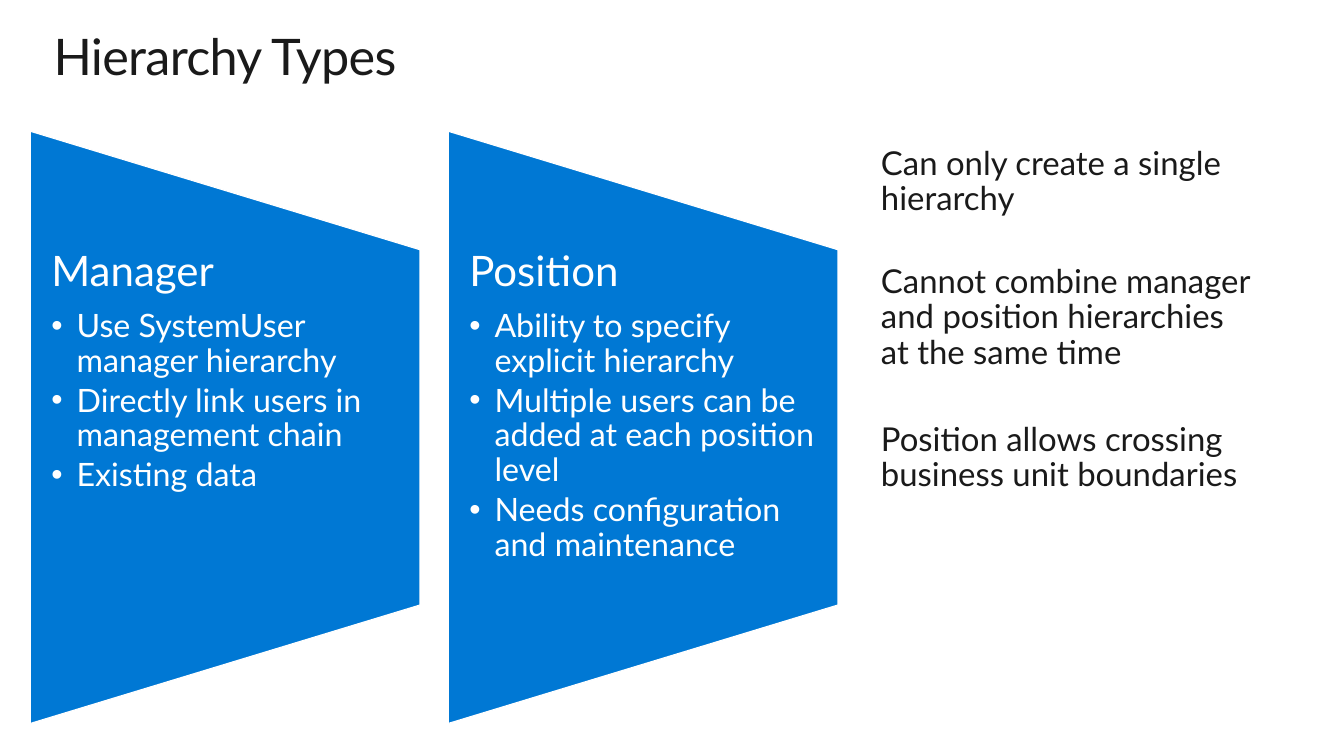
from lxml.etree import SubElement
from pptx import Presentation
from pptx.dml.color import RGBColor
from pptx.enum.shapes import MSO_SHAPE as Shape
from pptx.enum.text import MSO_ANCHOR as Anchor, PP_ALIGN as Align
from pptx.oxml.ns import qn
from pptx.util import Emu, Pt

EMU_PER_PX = 9525
FONT = "Lato"
BLUE = RGBColor(0x00, 0x78, 0xD4)
WHITE = RGBColor(0xFF, 0xFF, 0xFF)
DARK = RGBColor(0x1A, 0x1A, 0x1A)

PANEL_LEFT, PANEL_TOP, PANEL_STEP = 29, 125, 398
PANEL_WIDTH, PANEL_HEIGHT = 371, 564
BULLET_INDENT = 24

PANELS = [
    ("Manager", ["Use SystemUser manager hierarchy",
                 "Directly link users in management chain",
                 "Existing data"]),
    ("Position", ["Ability to specify explicit hierarchy",
                  "Multiple users can be added at each position level",
                  "Needs configuration and maintenance"]),
]
# Each note with the space after it, in points
NOTES = [
    ("Can only create a single hierarchy", 33.5),
    ("Cannot combine manager and position hierarchies at the same time", 36.5),
    ("Position allows crossing business unit boundaries", 6),
]


def px(n):
    return Emu(int(n * EMU_PER_PX))


def place(sp, left, top, width, height):
    sp.left, sp.top, sp.width, sp.height = map(px, (left, top, width, height))


def set_frame(tf, inset_x=0, inset_y=0):
    tf.word_wrap = True
    tf.vertical_anchor = Anchor.TOP
    tf.margin_left = tf.margin_right = px(inset_x)
    tf.margin_top = tf.margin_bottom = px(inset_y)


def add_run(p, text, size, color):
    r = p.add_run()
    r.text = text
    r.font.name = FONT
    r.font.size = Pt(size)
    r.font.color.rgb = color
    return r


def add_text_box(slide, box, inset_x, inset_y=0):
    tf = slide.shapes.add_textbox(*map(px, box)).text_frame
    set_frame(tf, inset_x, inset_y)
    return tf


def add_paragraph(tf, text, size, color, space_after):
    """Fill the frame's empty first paragraph, or append a new one."""
    p = tf.paragraphs[0] if not tf.text else tf.add_paragraph()
    p.alignment = Align.LEFT
    p.line_spacing = 0.9
    p.space_after = Pt(space_after)
    add_run(p, text, size, color)
    return p


def set_bullet(p):
    p.level = 1
    pPr = p._p.get_or_add_pPr()
    pPr.set("marL", str(px(BULLET_INDENT)))
    pPr.set("indent", str(-px(BULLET_INDENT)))
    SubElement(pPr, qn("a:buFont"), typeface="Arial")
    SubElement(pPr, qn("a:buChar"), char="•")


def set_title(slide, text):
    title = slide.shapes.title
    place(title, 51, 24, 1186, 59)
    tf = title.text_frame
    set_frame(tf)
    p = tf.paragraphs[0]
    p.alignment = Align.LEFT
    r = add_run(p, text, 36, DARK)
    r.font._element.set("spc", "-50")


def add_panel(slide, left, heading, items):
    """Add a trapezoid narrowing to the right, with a heading and bullets."""
    # The shape is laid out unrotated around the panel's centre
    shift = (PANEL_HEIGHT - PANEL_WIDTH) / 2
    sp = slide.shapes.add_shape(
        Shape.FLOWCHART_MANUAL_OPERATION, px(left - shift),
        px(PANEL_TOP + shift), px(PANEL_HEIGHT), px(PANEL_WIDTH))
    sp.rotation = 270
    sp.shadow.inherit = False
    sp.fill.solid()
    sp.fill.fore_color.rgb = BLUE
    sp.line.color.rgb = WHITE
    sp.line.width = Pt(0.85)

    tf = add_text_box(slide, (left, 238, PANEL_WIDTH, 339), 20)
    add_paragraph(tf, heading, 30, WHITE, 10.5)
    for item in items:
        set_bullet(add_paragraph(tf, item, 23, WHITE, 3.5))


def add_notes_column(slide):
    tf = add_text_box(slide, (820, 125, 394, 426), 19, 15)
    for text, space_after in NOTES:
        add_paragraph(tf, text, 23.5, DARK, space_after)


def main():
    prs = Presentation()
    prs.slide_width, prs.slide_height = px(1280), px(720)
    slide = prs.slides.add_slide(prs.slide_layouts[5])
    set_title(slide, "Hierarchy Types")
    for i, (heading, items) in enumerate(PANELS):
        add_panel(slide, PANEL_LEFT + i * PANEL_STEP, heading, items)
    add_notes_column(slide)
    prs.save("out.pptx")


if __name__ == "__main__":
    main()
